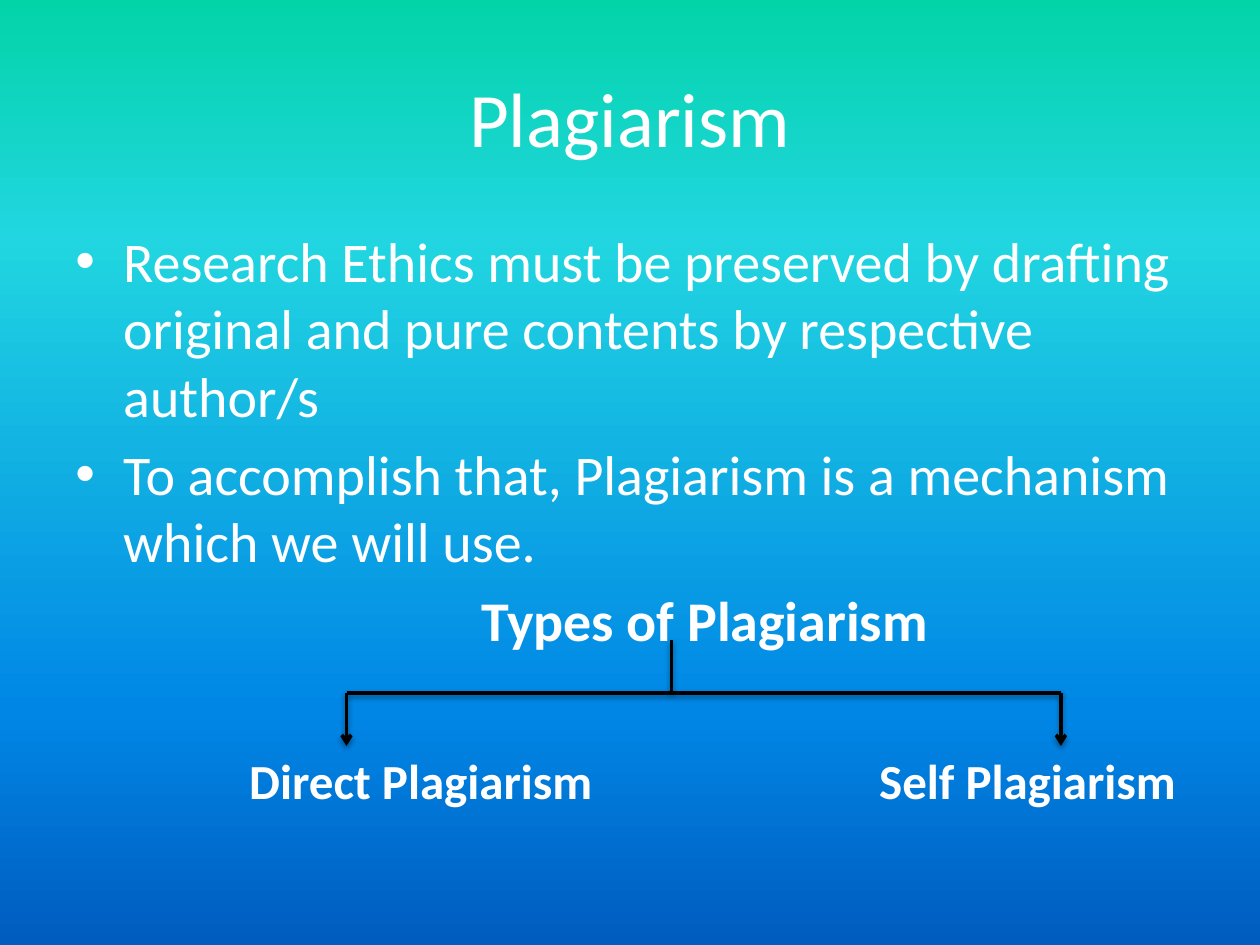
from copy import deepcopy

from lxml.etree import SubElement
from pptx import Presentation
from pptx.dml.color import RGBColor
from pptx.enum.shapes import MSO_CONNECTOR
from pptx.enum.text import MSO_ANCHOR, PP_ALIGN
from pptx.oxml.ns import qn
from pptx.util import Inches, Pt


def rgb(value):
    return RGBColor.from_string(value)


def add_text(p, text, size=32, bold=False, color="FFFFFF", font="Calibri", align=PP_ALIGN.LEFT):
    p.alignment = align
    r = p.add_run()
    r.text = text
    r.font.name, r.font.size, r.font.bold = font, Pt(size), bold
    r.font.color.rgb = rgb(color)


def indent(p, left, hanging=0, bullet=None):
    pPr = p._p.get_or_add_pPr()
    pPr.set("marL", str(Inches(left)))
    pPr.set("indent", str(-Inches(hanging)))
    if bullet:
        SubElement(pPr, qn("a:buFont"), typeface="Arial")
        SubElement(pPr, qn("a:buChar"), char=bullet)


class SlideBuilder:
    line_color = "000000"
    line_width = 2

    def __init__(self, prs):
        self.s = prs.slides.add_slide(prs.slide_layouts[5])

    def background(self, stops):
        """Fill from top to bottom with (percent, colour) stops."""
        fill = self.s.background.fill
        fill.gradient()
        fill.gradient_angle = 270
        gs_list = self.s._element.find(".//" + qn("a:gsLst"))
        for _ in stops[2:]:
            gs_list.append(deepcopy(gs_list[0]))
        for stop, (percent, color) in zip(fill.gradient_stops, stops):
            stop.position = percent / 100
            stop.color.rgb = rgb(color)

    def title(self, text, x, y, w, h):
        sp = self.s.shapes.title
        sp.left, sp.top, sp.width, sp.height = map(Inches, (x, y, w, h))
        tf = sp.text_frame
        tf.vertical_anchor = MSO_ANCHOR.MIDDLE
        add_text(tf.paragraphs[0], text, size=44, align=PP_ALIGN.CENTER)

    def text_box(self, x, y, w, h):
        tf = self.s.shapes.add_textbox(*map(Inches, (x, y, w, h))).text_frame
        tf.word_wrap = True
        return tf

    def body(self, bullets, heading, x, y, w, h):
        tf = self.text_box(x, y, w, h)
        for i, text in enumerate(bullets):
            p = tf.add_paragraph() if i else tf.paragraphs[0]
            p.space_before = Pt(6.4)
            indent(p, 0.38, 0.38, "•")
            add_text(p, text)
        p = tf.add_paragraph()
        p.space_before = Pt(6.4)
        indent(p, 3.22)
        add_text(p, heading, bold=True)

    def label(self, text, x, y):
        tf = self.text_box(x, y, 3, 0.57)
        add_text(tf.paragraphs[0], text, size=28, bold=True)

    def line(self, x1, y1, x2, y2, arrow=False):
        c = self.s.shapes.add_connector(MSO_CONNECTOR.STRAIGHT, *map(Inches, (x1, y1, x2, y2)))
        c.line.color.rgb = rgb(self.line_color)
        c.line.width = Pt(self.line_width)
        if arrow:
            SubElement(c.line._get_or_add_ln(), qn("a:tailEnd"), type="arrow")
        effects = SubElement(c._element.spPr, qn("a:effectLst"))
        shadow = SubElement(effects, qn("a:outerShdw"), blurRad=str(Pt(3.1)), dist=str(Pt(1.6)),
                            dir="5400000", rotWithShape="0")
        color = SubElement(shadow, qn("a:srgbClr"), val="000000")
        SubElement(color, qn("a:alpha"), val="38000")


def main():
    prs = Presentation()
    prs.slide_width, prs.slide_height = Inches(10), Inches(7.5)
    slide = SlideBuilder(prs)
    slide.background([(0, "03D4A8"), (25, "21D6E0"), (75, "0087E6"), (100, "005CBF")])
    slide.title("Plagiarism", 0.5, 0.3, 9, 1.25)
    slide.body(
        ["Research Ethics must be preserved by drafting original and pure contents by respective author/s",
         "To accomplish that, Plagiarism is a mechanism which we will use."],
        "Types of Plagiarism", 0.5, 1.75, 9, 3.5)

    left, stem, right = 2.75, 5.33, 8.42
    bar, drop = 5.5, 0.42
    slide.line(left, bar, right, bar)
    for x in (right, left):
        slide.line(x, bar, x, bar + drop, arrow=True)
    slide.line(stem, bar - drop, stem, bar)

    for text, x in (("Direct Plagiarism", 1.88), ("Self Plagiarism", 6.88)):
        slide.label(text, x, 5.91)
    prs.save("out.pptx")


if __name__ == "__main__":
    main()
